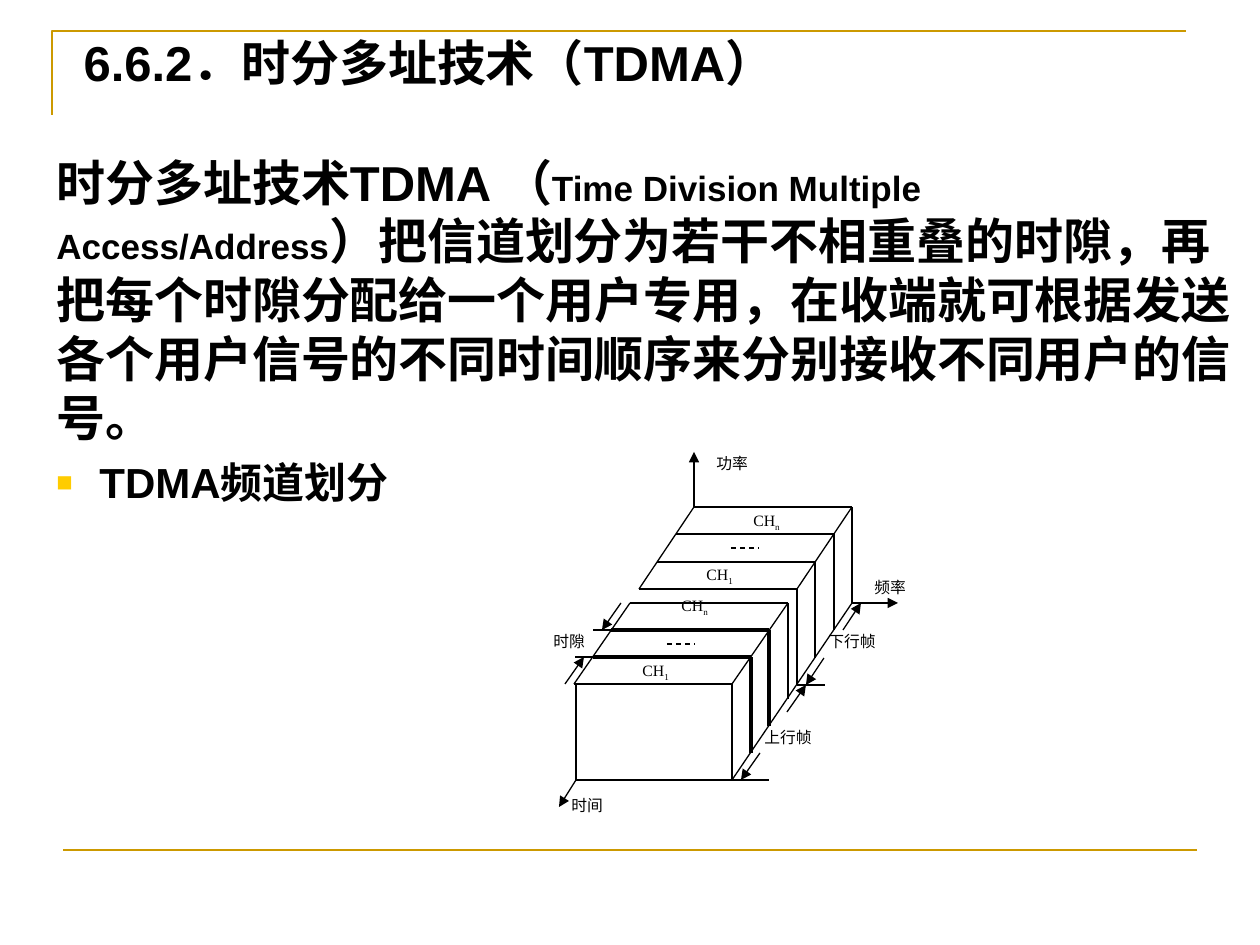
from lxml import etree
from pptx import Presentation
from pptx import util as u
from pptx.dml.color import RGBColor
from pptx.enum import dml, shapes, text
from pptx.oxml.ns import qn

PX = u.Inches(1) / 126
COLORS = {"ink": "000000", "paper": "FFFFFF", "frame": "CC9900", "bullet": "FFCC00"}

# Oblique view of the channel block: frequency to the right, time towards the viewer
BACK_LEFT, BACK_TOP = 694, 507
WIDTH, HEIGHT = 158, 96
STEP_X, STEP_Y = -18.4, 27.3
DOWNLINK = [0, 1, 2, 3]
UPLINK = [3.5, 4.5, 5.5, 6.5]
SLOT_WALLS = [4.5, 5.5]
FRONT = UPLINK[-1]
THIN, THICK = 0.75, 1.75


def px(n):
    return u.Emu(round(n * PX))


def rgb(name):
    return RGBColor.from_string(COLORS[name])


def spot(side, time, level, shift=0):
    """Slide position of a block point; side and level are 0 or 1."""
    x = BACK_LEFT + side * WIDTH + time * STEP_X + shift
    y = BACK_TOP + (1 - level) * HEIGHT + time * STEP_Y
    return round(x), round(y)


def add_line(parent, start, end, width=THIN, color="ink", arrow=False, dashed=False):
    line = parent.add_connector(shapes.MSO_CONNECTOR.STRAIGHT, *map(px, start + end))
    line.line.color.rgb = rgb(color)
    line.line.width = u.Pt(width)
    if dashed:
        line.line.dash_style = dml.MSO_LINE.DASH
    properties = line._element.spPr
    if arrow:
        etree.SubElement(properties.find(qn("a:ln")), qn("a:tailEnd"), type="triangle")
    etree.SubElement(properties, qn("a:effectLst"))


def add_run(paragraph, words, size, font="Arial", bold=True, subscript=False):
    run = paragraph.add_run()
    run.text = words
    run.font.size = u.Pt(size)
    run.font.name = font
    run.font.bold = bold
    run.font.color.rgb = rgb("ink")
    if subscript:
        run._r.get_or_add_rPr().set("baseline", "-25000")


def set_frame(frame, anchor):
    frame.word_wrap = True
    frame.auto_size = text.MSO_AUTO_SIZE.NONE
    frame.vertical_anchor = anchor
    return frame.paragraphs[0]


def add_label(parent, words, left, top, width, height=28, subscript="", spacing=0.72):
    label = parent.add_shape(shapes.MSO_SHAPE.RECTANGLE,
                             *map(px, (left, top, width, height)))
    label.shadow.inherit = False
    label.fill.solid()
    label.fill.fore_color.rgb = rgb("paper")
    label.line.fill.background()
    paragraph = set_frame(label.text_frame, text.MSO_ANCHOR.TOP)
    paragraph.alignment = text.PP_ALIGN.JUSTIFY
    paragraph.line_spacing = spacing
    add_run(paragraph, words, 9, "Times New Roman", False)
    if subscript:
        add_run(paragraph, subscript, 9, "Times New Roman", False, True)


def add_bullet(paragraph, hanging):
    properties = paragraph._p.get_or_add_pPr()
    properties.set("marL", str(px(hanging)))
    properties.set("indent", str(-px(hanging)))
    color = etree.SubElement(properties, qn("a:buClr"))
    etree.SubElement(color, qn("a:srgbClr"), val=COLORS["bullet"])
    etree.SubElement(properties, qn("a:buSzPct"), val="65000")
    etree.SubElement(properties, qn("a:buFont"), typeface="Arial")
    etree.SubElement(properties, qn("a:buChar"), char="■")


def add_page_frame(slide):
    builder = slide.shapes.build_freeform(52, 115, scale=PX)
    builder.add_line_segments([(52, 31), (1186, 31)], close=False)
    corner = builder.convert_to_shape()
    corner.shadow.inherit = False
    corner.fill.background()
    corner.line.color.rgb = rgb("frame")
    corner.line.width = u.Pt(1.5)
    add_line(slide.shapes, (63, 850), (1197, 850), 1.5, "frame")


def add_title(slide):
    title = slide.shapes.title
    title.left, title.top, title.width, title.height = map(px, (44, 26, 1216, 72))
    paragraph = set_frame(title.text_frame, text.MSO_ANCHOR.MIDDLE)
    paragraph.alignment = text.PP_ALIGN.LEFT
    paragraph._p.get_or_add_pPr().set("marL", str(px(27)))
    add_run(paragraph, "6.6.2．时分多址技术（TDMA）", 28)


def add_body(slide):
    body = slide.shapes.add_textbox(*map(px, (44, 146, 1216, 364)))
    definition = set_frame(body.text_frame, text.MSO_ANCHOR.TOP)
    add_run(definition, "时分多址技术TDMA （", 28)
    add_run(definition, "Time Division Multiple Access/Address", 20)
    add_run(definition, "）把信道划分为若干不相重叠的时隙，再把每个时隙分配给一个用户专用，"
            "在收端就可根据发送各个用户信号的不同时间顺序来分别接收不同用户的信号。", 28)
    topic = body.text_frame.add_paragraph()
    topic.space_before = u.Pt(6)
    add_bullet(topic, 43)
    add_run(topic, "TDMA频道划分", 24)


def add_labels(parent):
    add_label(parent, "时间", 559, 794, 64)
    add_label(parent, "频率", 862, 576, 64)
    add_label(parent, "CH", 741, 508, 73, 40, "n")
    add_label(parent, "时隙", 541, 630, 64)
    add_label(parent, "上行帧", 752, 726, 83)
    add_label(parent, "下行帧", 816, 630, 82)
    add_label(parent, "CH", 694, 562, 55, 28, "1")
    add_label(parent, "CH", 669, 590, 83, 54, "n", 1)
    add_label(parent, "CH", 630, 658, 83, 28, "1")


def add_block(parent):
    for frame in (DOWNLINK, UPLINK):
        # Slot borders on the top and right faces
        for time in frame:
            width = THICK if time in SLOT_WALLS else THIN
            add_line(parent, spot(0, time, 1), spot(1, time, 1), width)
            add_line(parent, spot(1, time, 1), spot(1, time, 0), width)
        # Long edges of the top face
        for side in (0, 1):
            add_line(parent, spot(side, frame[0], 1), spot(side, frame[-1], 1))
    # Bottom edge and front face
    add_line(parent, spot(1, 0, 0), spot(1, FRONT, 0))
    add_line(parent, spot(0, FRONT, 1, 2), spot(0, FRONT, 0, 2))
    add_line(parent, spot(0, FRONT, 0, 2), spot(1, FRONT, 0, 18))
    # Slots left out between the first and the last channel
    for left, y in ((731, 548), (667, 644)):
        add_line(parent, (left, y), (left + 28, y), dashed=True)


def add_measures(parent):
    # Axes of power, frequency and time
    for start, end in ((spot(0, 0, 1), (694, 452)),
                       (spot(1, 0, 0), (898, 603)),
                       (spot(0, FRONT, 0, 2), (559, 807))):
        add_line(parent, start, end, arrow=True)
    # Frame lengths on the right, slot length on the left
    for side, start, end in ((1, 1, 0), (1, 2, 3), (1, 4, 3), (1, 5.5, 6.5),
                             (0, 6.5, 5.5), (0, 3.5, 4.5)):
        shift = 9 if side else -9
        add_line(parent, spot(side, start, 1 - side, shift),
                 spot(side, end, 1 - side, shift), arrow=True)
    # Extension ticks
    for time in SLOT_WALLS:
        add_line(parent, spot(0, time, 1), spot(0, time, 1, -18))
    add_line(parent, spot(1, 3, 0), spot(1, 3, 0, 28))
    add_line(parent, spot(1, FRONT, 0, 17), spot(1, FRONT, 0, 37))


def main():
    deck = Presentation()
    deck.slide_width, deck.slide_height = u.Inches(10), u.Inches(7.5)
    slide = deck.slides.add_slide(deck.slide_layouts[5])
    add_page_frame(slide)
    add_title(slide)
    add_body(slide)
    diagram = slide.shapes.add_group_shape().shapes
    add_labels(diagram)
    add_block(diagram)
    add_measures(diagram)
    add_label(diagram, "功率", 704, 452, 64)
    deck.save("out.pptx")


if __name__ == "__main__":
    main()
